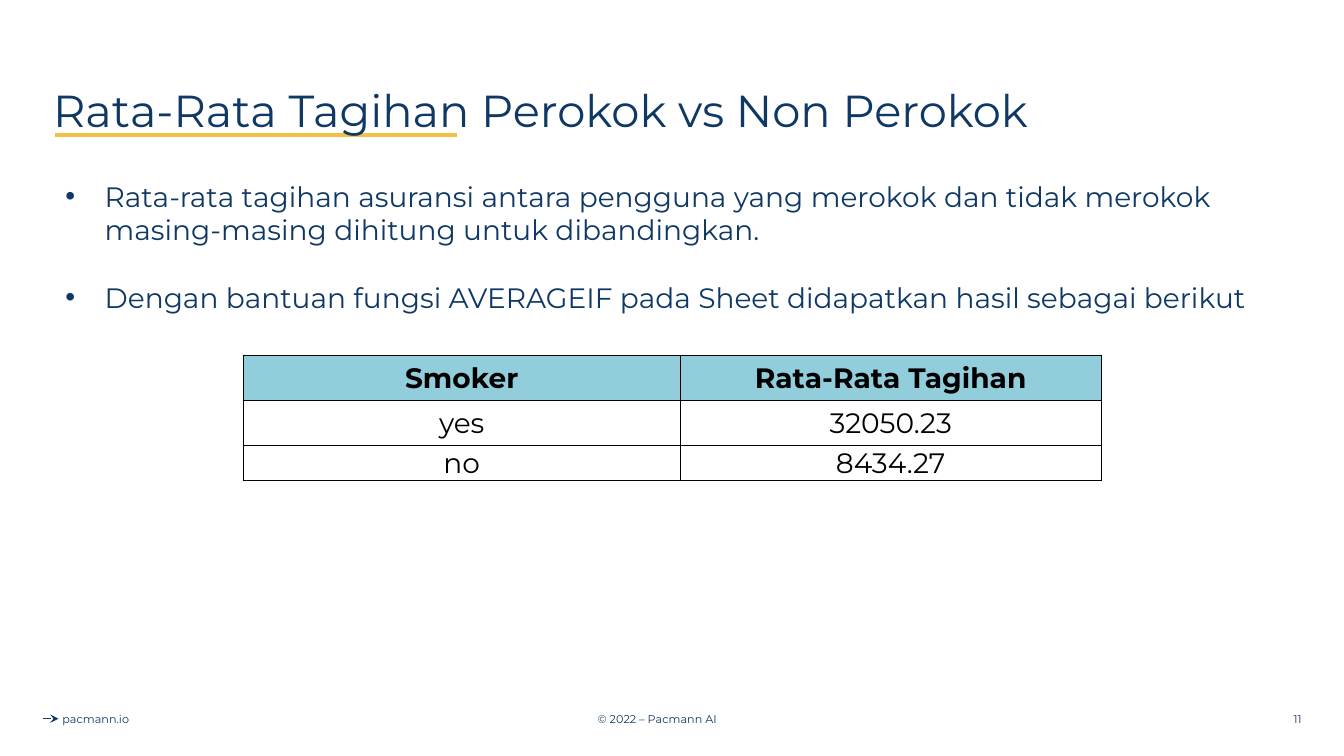
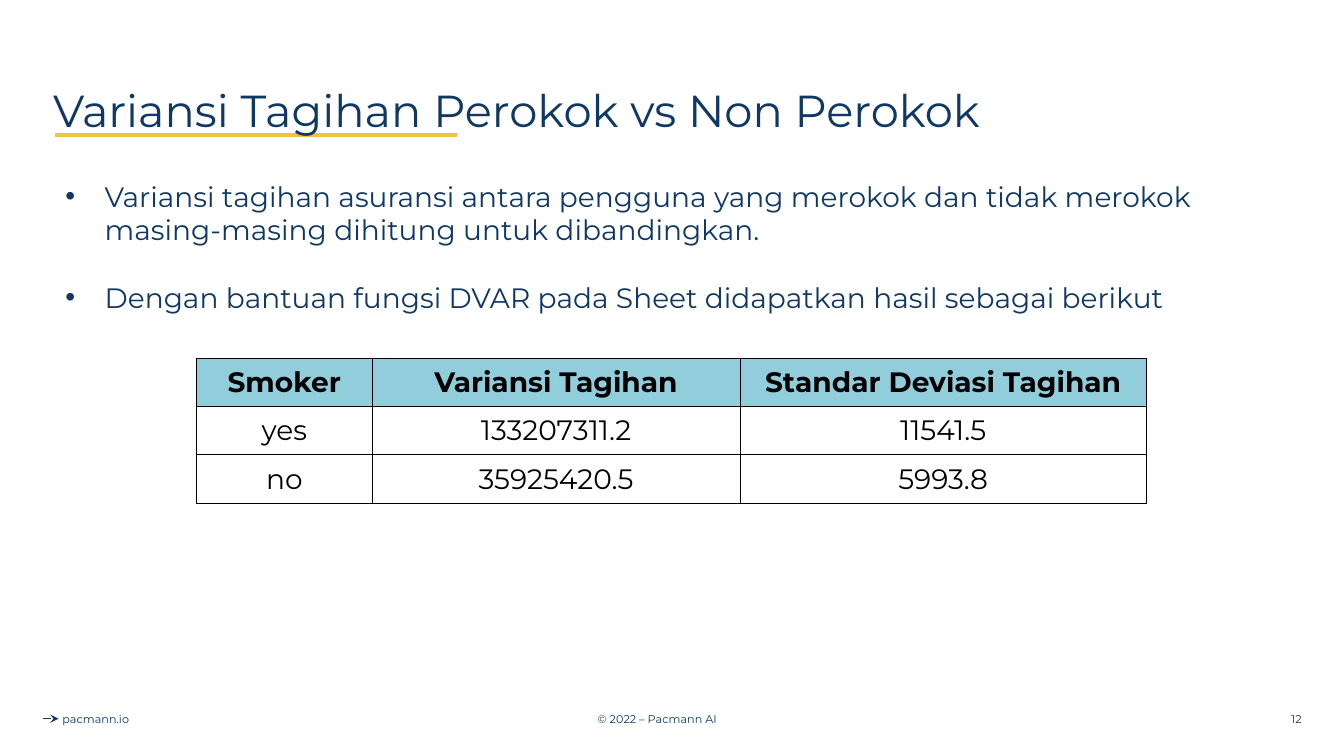
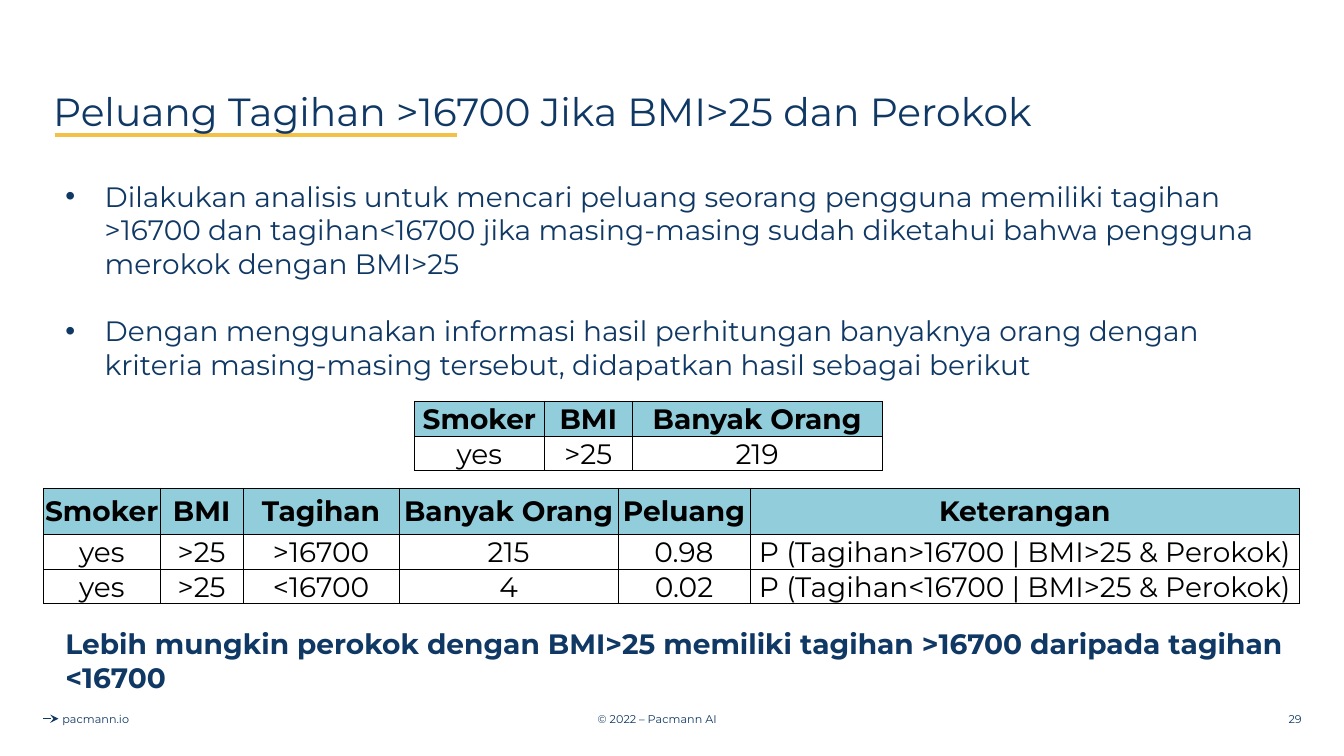
from lxml import etree
from pptx import Presentation
from pptx.dml.color import RGBColor
from pptx.enum.shapes import MSO_CONNECTOR
from pptx.enum.text import MSO_ANCHOR, PP_ALIGN
from pptx.oxml.ns import qn
from pptx.util import Inches, Pt

NAVY = RGBColor(0x10, 0x38, 0x64)
GOLD = RGBColor(0xF3, 0xC1, 0x45)
AQUA = RGBColor(0x92, 0xCD, 0xDC)
BLACK = RGBColor(0, 0, 0)

FONT = "Montserrat"
STRAIGHT = MSO_CONNECTOR.STRAIGHT
TOP, MIDDLE = MSO_ANCHOR.TOP, MSO_ANCHOR.MIDDLE
LEFT, CENTER, RIGHT = PP_ALIGN.LEFT, PP_ALIGN.CENTER, PP_ALIGN.RIGHT

BODY_SIZE = 20
BODY_LEFT, BODY_WIDTH = 0.44, 12.46


def add_element(parent, tag, **attributes):
    return etree.SubElement(parent, qn(tag), attributes)


def add_solid_fill(parent, color):
    fill = add_element(parent, "a:solidFill")
    add_element(fill, "a:srgbClr", val=str(color))


class DeckBuilder:
    """Holds the deck, its style and the current slide."""

    def __init__(self):
        self.deck = Presentation()
        self.deck.slide_width = Inches(13.33)
        self.deck.slide_height = Inches(7.5)
        self.page = None

    # Slide frame: footer, title and underline
    def start_page(self, title, number, title_size=32):
        self.page = self.deck.slides.add_slide(self.deck.slide_layouts[6])
        arrow = self.line(0.43, 0.58, 7.13, NAVY, 0.75)
        add_element(arrow._element.spPr.find(qn("a:ln")), "a:tailEnd", type="stealth")
        for text, left, width, align in (
            ("© 2022 – Pacmann AI", 4.27, 4.5, CENTER),
            ("pacmann.io", -1.3, 4.5, CENTER),
            (str(number), 10.01, 3, RIGHT),
        ):
            self.text([text], left, 6.93, width, 0.4, size=8, align=align, anchor=MIDDLE)
        self.line(0.55, 4.53, 1.34, GOLD, 2.25)
        box = self.text([title], 0.43, 0.4, 12.47, 1.45, size=title_size, anchor=MIDDLE)
        box.text_frame.paragraphs[0].line_spacing = 0.9

    def line(self, start, end, top, color, weight):
        line = self.page.shapes.add_connector(
            STRAIGHT, Inches(start), Inches(top), Inches(end), Inches(top))
        line.line.color.rgb = color
        line.line.width = Pt(weight)
        add_element(line._element.spPr, "a:effectLst")
        return line

    def add_span(self, para, text, size=BODY_SIZE, color=NAVY, bold=False):
        span = para.add_run()
        span.text = text
        formats = {"name": FONT, "size": Pt(size), "bold": bold}
        for name, value in formats.items():
            setattr(span.font, name, value)
        span.font.color.rgb = color

    def text(self, lines, left, top, width, height, size=BODY_SIZE,
             bold=False, align=LEFT, anchor=TOP):
        box = self.page.shapes.add_textbox(
            Inches(left), Inches(top), Inches(width), Inches(height))
        frame = box.text_frame
        frame.word_wrap = True
        frame.vertical_anchor = anchor
        for index, line in enumerate(lines):
            para = frame.add_paragraph() if index else frame.paragraphs[0]
            para.alignment = align
            self.add_span(para, line, size, bold=bold)
        return box

    def indent(self, para, margin, first_line=0):
        properties = para._p.get_or_add_pPr()
        properties.set("marL", str(Inches(margin)))
        properties.set("indent", str(Inches(first_line)))
        return properties

    def bullets(self, lines, height):
        box = self.text(lines, BODY_LEFT, 1.73, BODY_WIDTH, height)
        for index, para in enumerate(box.text_frame.paragraphs):
            properties = self.indent(para, 0.5, -0.39)
            color = add_element(properties, "a:buClr")
            add_element(color, "a:srgbClr", val=str(NAVY))
            add_element(properties, "a:buFont", typeface="Arial")
            add_element(properties, "a:buChar", char="•")
            if index:
                para.space_before = Pt(24)

    def conclusion(self, text):
        box = self.text([text], BODY_LEFT, 6.17, BODY_WIDTH, 0.77, bold=True)
        self.indent(box.text_frame.paragraphs[0], 0.11)

    # Tables: aqua header row, thin black grid
    def table(self, left, top, widths, heights, rows):
        table = self.page.shapes.add_table(
            len(rows), len(widths), Inches(left), Inches(top),
            Inches(sum(widths)), Inches(sum(heights))).table
        table.horz_banding = table.first_row = False
        for column, width in zip(table.columns, widths):
            column.width = Inches(width)
        for row, height in zip(table.rows, heights):
            row.height = Inches(height)
        for row_index, values in enumerate(rows):
            for column_index, value in enumerate(values):
                self.cell(table.cell(row_index, column_index), value, row_index == 0)

    def cell(self, cell, value, header):
        formats = {
            "margin_left": Inches(0.01), "margin_right": Inches(0.01),
            "margin_top": Inches(0.01), "margin_bottom": 0,
            "vertical_anchor": MIDDLE,
        }
        for name, setting in formats.items():
            setattr(cell, name, setting)
        properties = cell._tc.get_or_add_tcPr()
        for side in ("a:lnL", "a:lnR", "a:lnT", "a:lnB"):
            add_solid_fill(add_element(properties, side, w=str(Pt(0.5))), BLACK)
        if header:
            cell.fill.solid()
            cell.fill.fore_color.rgb = AQUA
        else:
            cell.fill.background()
        para = cell.text_frame.paragraphs[0]
        para.alignment = CENTER
        self.add_span(para, value, color=BLACK, bold=header)


def main():
    builder = DeckBuilder()

    # Average bill
    builder.start_page("Rata-Rata Tagihan Perokok vs Non Perokok", 11)
    builder.bullets([
        "Rata-rata tagihan asuransi antara pengguna yang merokok dan tidak merokok "
        "masing-masing dihitung untuk dibandingkan.",
        "Dengan bantuan fungsi AVERAGEIF pada Sheet didapatkan hasil sebagai berikut",
    ], 1.78)
    builder.table(2.41, 3.52, [4.34, 4.17], [0.45, 0.45, 0.34], [
        ["Smoker", "Rata-Rata Tagihan"],
        ["yes", "32050.23"],
        ["no", "8434.27"],
    ])

    # Variance of the bill
    builder.start_page("Variansi Tagihan Perokok vs Non Perokok", 12)
    builder.bullets([
        "Variansi tagihan asuransi antara pengguna yang merokok dan tidak merokok "
        "masing-masing dihitung untuk dibandingkan.",
        "Dengan bantuan fungsi DVAR pada Sheet didapatkan hasil sebagai berikut",
    ], 1.78)
    builder.table(1.95, 3.55, [1.74, 3.65, 4.03], [0.48] * 3, [
        ["Smoker", "Variansi Tagihan", "Standar Deviasi Tagihan"],
        ["yes", "133207311.2", "11541.5"],
        ["no", "35925420.5", "5993.8"],
    ])

    # Conditional probability
    builder.start_page("Peluang Tagihan >16700 Jika BMI>25 dan Perokok", 29, title_size=28)
    builder.bullets([
        "Dilakukan analisis untuk mencari peluang seorang pengguna memiliki tagihan "
        ">16700 dan tagihan<16700 jika masing-masing sudah diketahui bahwa pengguna "
        "merokok dengan BMI>25",
        "Dengan menggunakan informasi hasil perhitungan banyaknya orang dengan "
        "kriteria masing-masing tersebut, didapatkan hasil sebagai berikut",
    ], 2.12)
    builder.conclusion(
        "Lebih mungkin perokok dengan BMI>25 memiliki tagihan >16700 "
        "daripada tagihan <16700")
    builder.table(4.11, 3.98, [1.29, 0.87, 2.48], [0.34] * 2, [
        ["Smoker", "BMI", "Banyak Orang"],
        ["yes", ">25", "219"],
    ])
    builder.table(0.43, 4.84, [1.16, 0.82, 1.55, 2.17, 1.31, 5.45], [0.46, 0.34, 0.34], [
        ["Smoker", "BMI", "Tagihan", "Banyak Orang", "Peluang", "Keterangan"],
        ["yes", ">25", ">16700", "215", "0.98", "P (Tagihan>16700 | BMI>25 & Perokok)"],
        ["yes", ">25", "<16700", "4", "0.02", "P (Tagihan<16700 | BMI>25 & Perokok)"],
    ])

    builder.deck.save("out.pptx")


if __name__ == "__main__":
    main()
